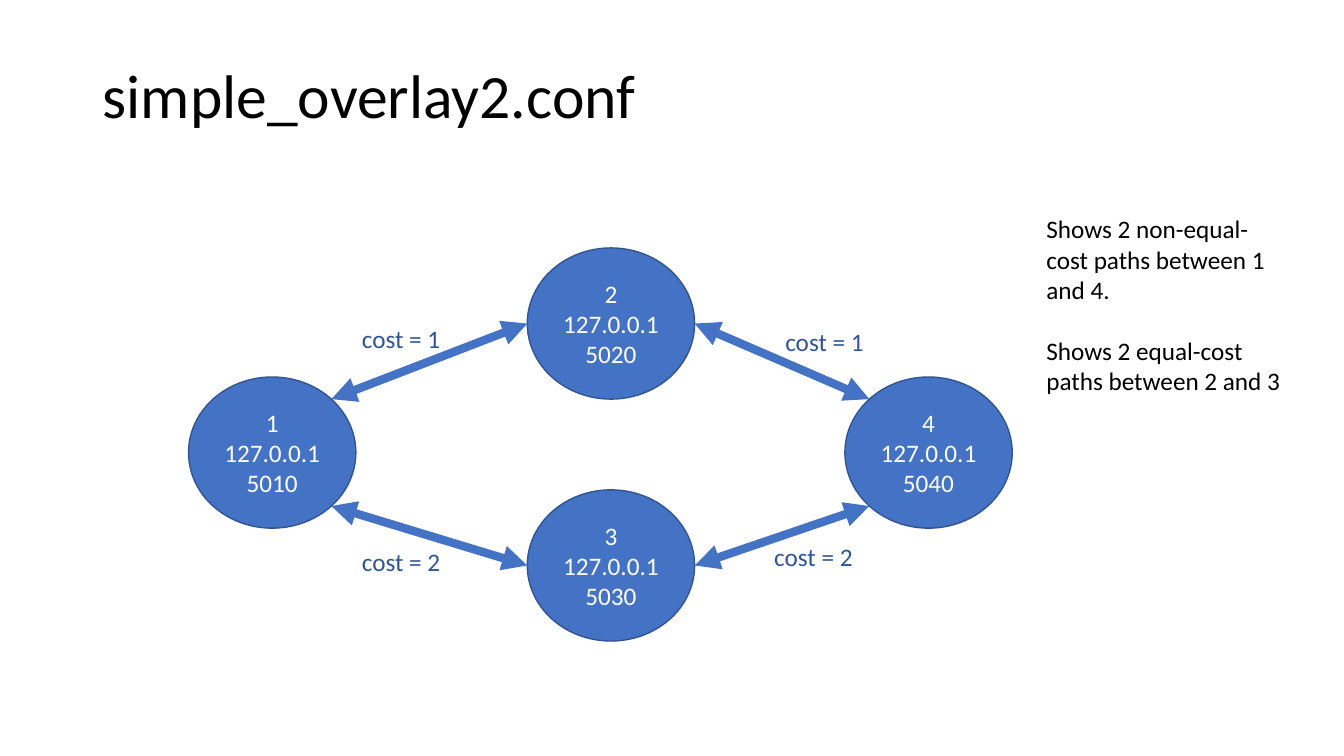
from math import sqrt
from lxml.etree import SubElement
from pptx import Presentation
from pptx.dml.color import RGBColor
from pptx.enum.shapes import MSO_CONNECTOR, MSO_SHAPE
from pptx.enum.text import MSO_ANCHOR, MSO_AUTO_SIZE, PP_ALIGN
from pptx.oxml.ns import qn
from pptx.util import Inches, Pt

BLACK = RGBColor(0x00, 0x00, 0x00)
WHITE = RGBColor(0xFF, 0xFF, 0xFF)
BLUE = RGBColor(0x44, 0x72, 0xC4)
OUTLINE = RGBColor(0x32, 0x54, 0x91)
LABEL_BLUE = RGBColor(0x2F, 0x55, 0x97)

TITLE = "simple_overlay2.conf"
REMARKS = ["Shows 2 non-equal-cost paths between 1 and 4.",
           "Shows 2 equal-cost paths between 2 and 3"]
ADDRESS = "127.0.0.1"
NODE_W, NODE_H = 1.66, 1.5
COLUMNS = {"left": 1.87, "centre": 5.23, "right": 8.38}
ROWS = {"top": 2.46, "middle": 3.74, "bottom": 4.86}
NODES = {1: ("left", "middle"), 2: ("centre", "top"),
         3: ("centre", "bottom"), 4: ("right", "middle")}
LINKS = [(1, 2, 1, (3.49, 3.16)), (1, 3, 2, (3.49, 5.37)),
         (4, 3, 2, (7.58, 5.32)), (4, 2, 1, (7.69, 3.19))]


def style_text(frame, size, colour):
    for paragraph in frame.paragraphs:
        for run in paragraph.runs:
            run.font.size = Pt(size)
            run.font.name = "Calibri"
            run.font.color.rgb = colour


def add_text(lines, box, size, colour):
    frame = slide.shapes.add_textbox(*map(Inches, box)).text_frame
    frame.text = "\n".join(lines)
    frame.word_wrap = True
    style_text(frame, size, colour)
    return frame


def node_centre(node):
    column, row = NODES[node]
    return COLUMNS[column] + NODE_W / 2, ROWS[row] + NODE_H / 2


def add_node(node):
    column, row = NODES[node]
    oval = slide.shapes.add_shape(MSO_SHAPE.OVAL, *map(
        Inches, (COLUMNS[column], ROWS[row], NODE_W, NODE_H)))
    oval.shadow.inherit = False
    oval.fill.solid()
    oval.fill.fore_color.rgb = BLUE
    oval.line.color.rgb = OUTLINE
    oval.line.width = Pt(1)
    frame = oval.text_frame
    frame.text = f"{node}\n{ADDRESS}\v{5000 + 10 * node}"
    frame.vertical_anchor = MSO_ANCHOR.MIDDLE
    for paragraph in frame.paragraphs:
        paragraph.alignment = PP_ALIGN.CENTER
    style_text(frame, 18, WHITE)


def add_link(outer, inner):
    (outer_x, outer_y), (inner_x, inner_y) = node_centre(outer), node_centre(inner)
    across = 1 if inner_x > outer_x else -1
    down = 1 if inner_y > outer_y else -1
    ends = (outer_x + across * NODE_W / 2 / sqrt(2),
            outer_y + down * NODE_H / 2 / sqrt(2),
            inner_x - across * NODE_W / 2, inner_y)
    link = slide.shapes.add_connector(MSO_CONNECTOR.STRAIGHT, *map(Inches, ends))
    link.line.color.rgb = BLUE
    link.line.width = Pt(6)
    properties = link._element.spPr
    for end in ("a:headEnd", "a:tailEnd"):
        SubElement(properties.find(qn("a:ln")), qn(end), type="triangle")
    SubElement(properties, qn("a:effectLst"))


deck = Presentation()
deck.slide_width, deck.slide_height = Inches(13.33), Inches(7.5)
slide = deck.slides.add_slide(deck.slide_layouts[6])

for node in NODES:
    add_node(node)
for outer, inner, cost, corner in LINKS:
    add_link(outer, inner)
    label = add_text([f"cost = {cost}"], (*corner, 1.38, 0.4), 18, LABEL_BLUE)
    label.auto_size = MSO_AUTO_SIZE.SHAPE_TO_FIT_TEXT

title = add_text([TITLE], (0.92, 0.38, 10.76, 0.98), 44, BLACK)
title.vertical_anchor = MSO_ANCHOR.BOTTOM
title.paragraphs[0].line_spacing = 0.9

remarks = add_text(REMARKS, (10.28, 2.07, 2.6, 1.92), 18, BLACK)
remarks.auto_size = MSO_AUTO_SIZE.SHAPE_TO_FIT_TEXT
remarks.paragraphs[1].space_before = Pt(22)

deck.save("out.pptx")
